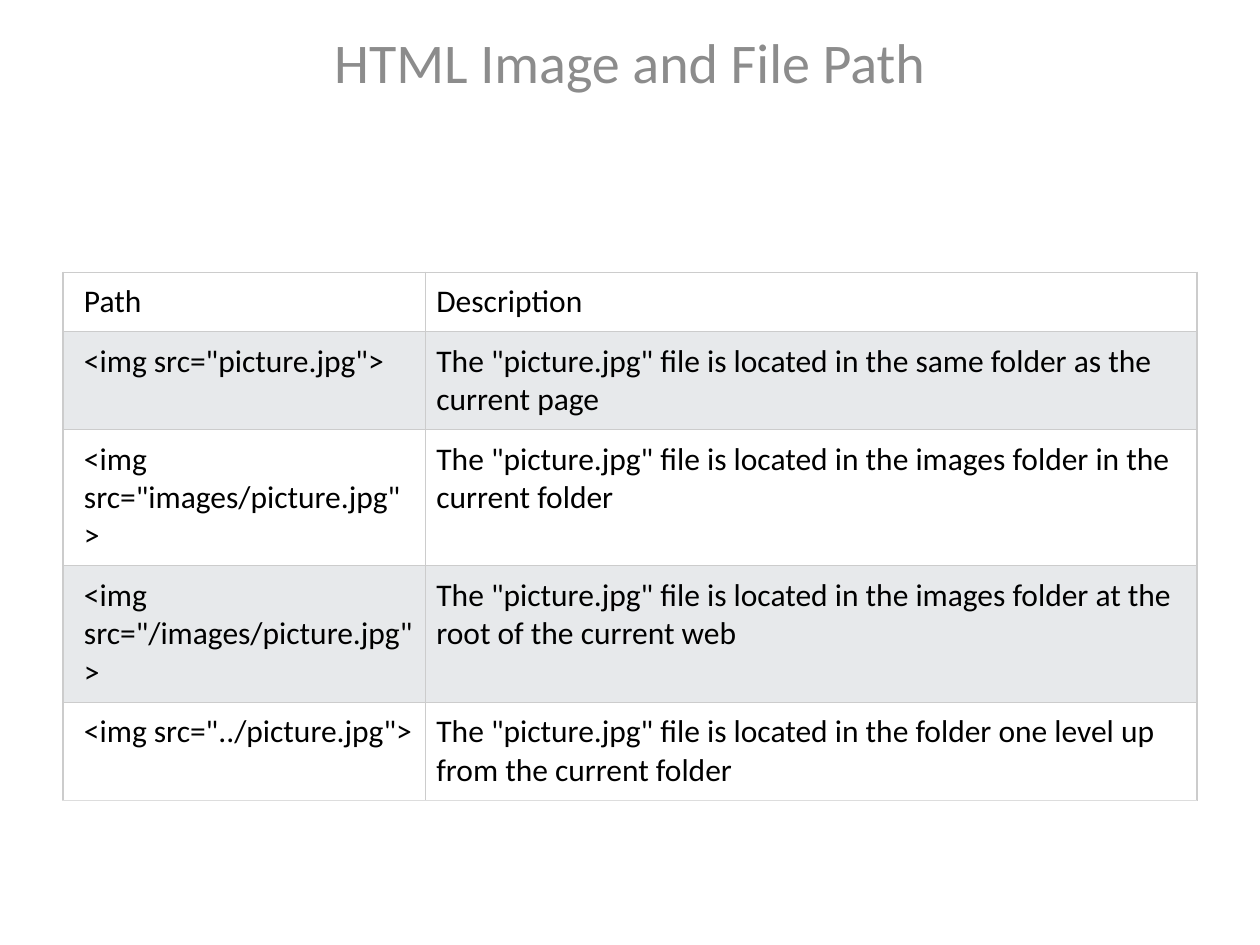
from pptx import Presentation
from pptx.dml.color import RGBColor
from pptx.enum import text
from pptx.oxml import parse_xml
from pptx.oxml.ns import nsdecls
from pptx.util import Pt

BLACK = RGBColor(0x00, 0x00, 0x00)
GRAY = RGBColor(0x8C, 0x8C, 0x8C)
WHITE = RGBColor(0xFF, 0xFF, 0xFF)
BAND = RGBColor(0xE7, 0xE9, 0xEB)
GRID = RGBColor(0xCC, 0xCC, 0xCC)
BASE = RGBColor(0xDD, 0xDD, 0xDD)

LOCATED = 'The "picture.jpg" file is located in the '
ROWS = [
    (33, "Path", "Description"),
    (55, '<img src="picture.jpg">', LOCATED + "same folder as the current page"),
    (55, '<img src="images/picture.jpg">', LOCATED + "images folder in the current folder"),
    (75.6, '<img src="/images/picture.jpg">', LOCATED + "images folder at the root of the current web"),
    (55, '<img src="../picture.jpg">', LOCATED + "folder one level up from the current folder"),
]
COLUMN_WIDTHS = (207.4, 440.6)


def write(frame, words, size, color):
    frame.text = words
    font = frame.paragraphs[0].runs[0].font
    for name, value in {"name": "Calibri", "size": Pt(size), "bold": False}.items():
        setattr(font, name, value)
    font.color.rgb = color


def add_border(cell, side, color):
    cell._tc.get_or_add_tcPr().append(parse_xml(
        f'<a:{side} {nsdecls("a")} w="{Pt(0.75)}"><a:solidFill>'
        f'<a:srgbClr val="{color}"/></a:solidFill></a:{side}>'))


deck = Presentation()
deck.slide_width, deck.slide_height = Pt(720), Pt(540)
slide = deck.slides.add_slide(deck.slide_layouts[5])

heading = slide.shapes.title
for name, value in {"left": 12, "top": 12, "width": 696, "height": 516}.items():
    setattr(heading, name, Pt(value))
write(heading.text_frame, "HTML Image and File Path", 32, GRAY)
heading.text_frame.vertical_anchor = text.MSO_ANCHOR.TOP
heading.text_frame.paragraphs[0].alignment = text.PP_ALIGN.CENTER
heading.text_frame.paragraphs[0].space_before = Pt(3)

paths = slide.shapes.add_table(
    len(ROWS), 2, Pt(36), Pt(155.6), Pt(sum(COLUMN_WIDTHS)), Pt(sum(row[0] for row in ROWS))
).table
paths.first_row = paths.horz_banding = False
for column, width in zip(paths.columns, COLUMN_WIDTHS):
    column.width = Pt(width)

for r, (height, *entries) in enumerate(ROWS):
    paths.rows[r].height = Pt(height)
    for c, entry in enumerate(entries):
        cell = paths.cell(r, c)
        write(cell.text_frame, entry, 18, BLACK)
        margins = {"left": 6 if c else 12, "top": 6, "right": 6, "bottom": 6}
        for side, margin in margins.items():
            setattr(cell, f"margin_{side}", Pt(margin))
        for side in ("lnL", "lnR", "lnT", "lnB"):
            at_base = side == "lnB" and r == len(ROWS) - 1
            add_border(cell, side, BASE if at_base else GRID)
        cell.fill.solid()
        cell.fill.fore_color.rgb = BAND if r % 2 else WHITE

deck.save("out.pptx")
